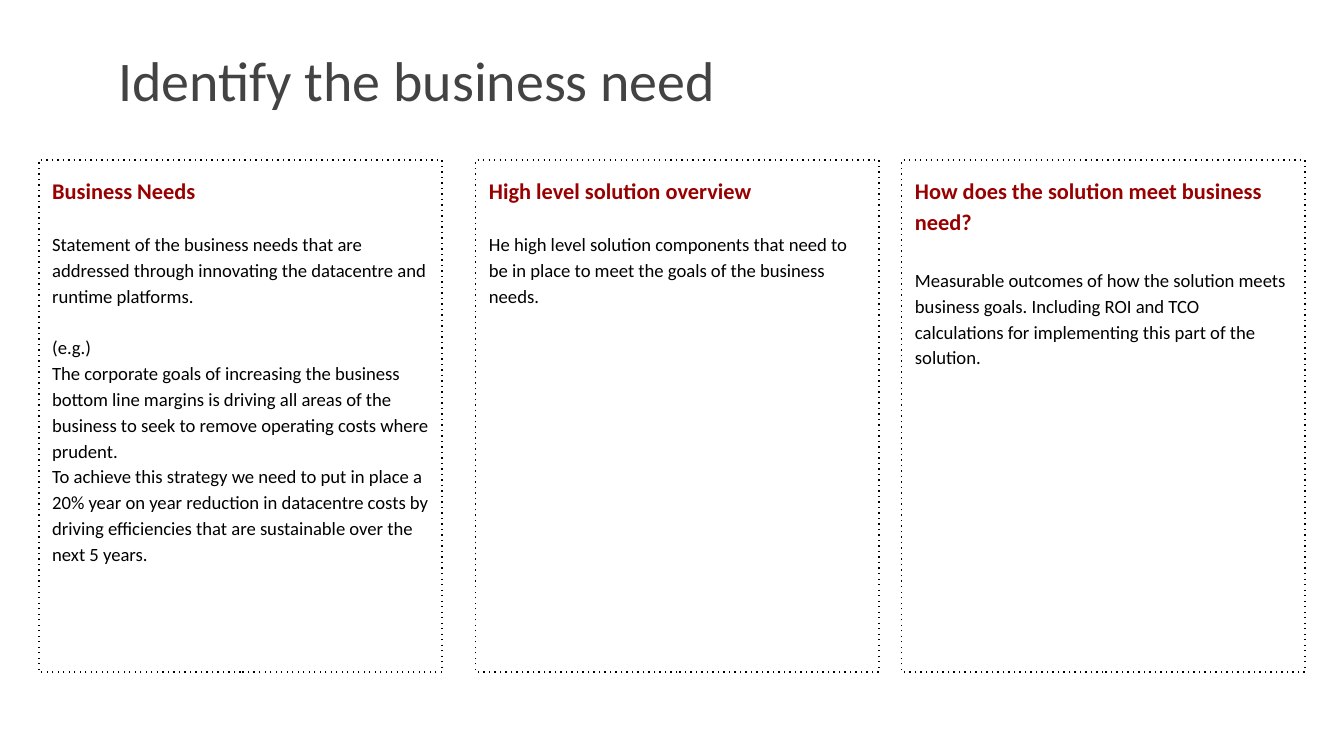
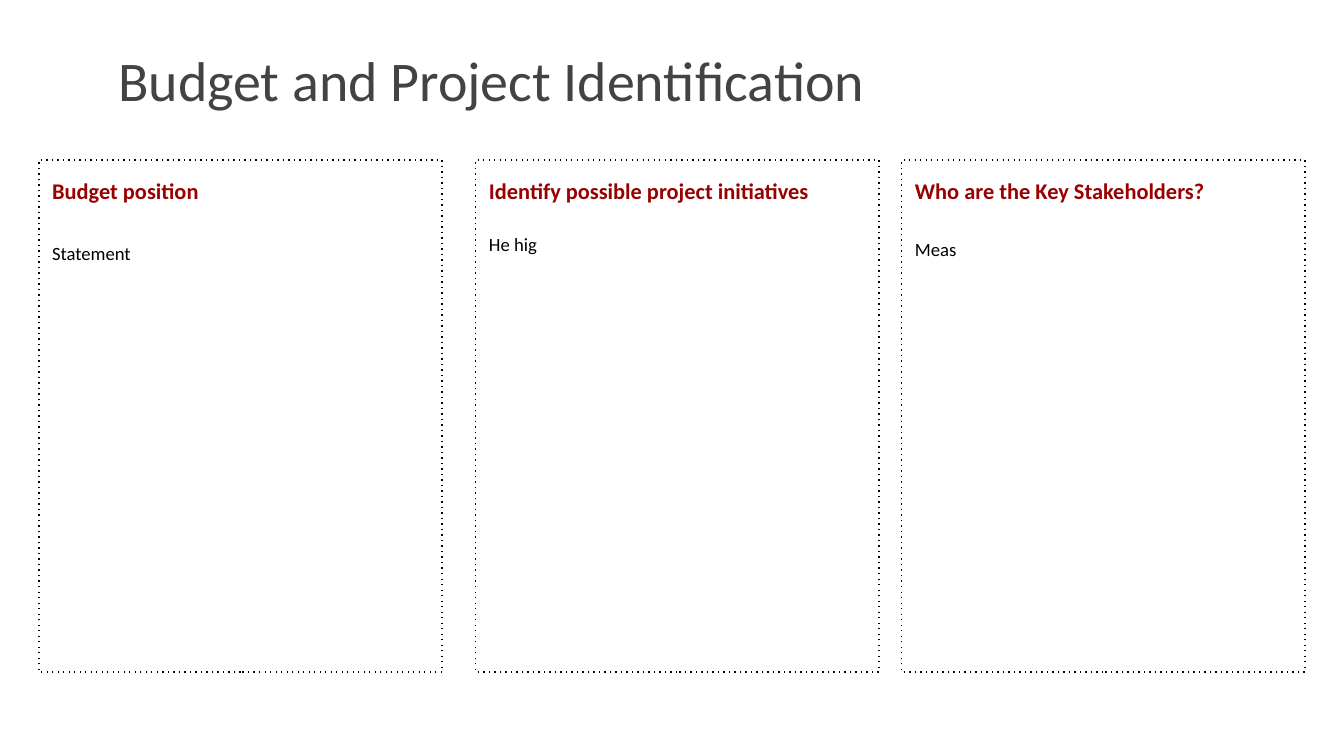
from pptx import Presentation
from pptx.dml.color import RGBColor
from pptx.enum.shapes import MSO_SHAPE
from pptx.enum.text import MSO_ANCHOR, MSO_AUTO_SIZE, PP_ALIGN
from pptx.oxml.ns import qn
from pptx.util import Inches, Pt
from lxml.etree import SubElement

SLIDES = [
    ("Identify the business need", [
        ("Business Needs", [
            ("Statement of the business needs that are addressed through innovating "
             "the datacentre and runtime platforms.", 13.5),
            ("(e.g.)", 14),
            ("The corporate goals of increasing the business bottom line margins is "
             "driving all areas of the business to seek to remove operating costs "
             "where prudent.", 0),
            ("To achieve this strategy we need to put in place a 20% year on year "
             "reduction in datacentre costs by driving efficiencies that are "
             "sustainable over the next 5 years.", 0),
        ]),
        ("High level solution overview", [
            ("He high level solution components that need to be in place to meet "
             "the goals of the business needs.", 13.5),
        ]),
        ("How does the solution meet business need?", [
            ("Measurable outcomes of how the solution meets business goals. Including "
             "ROI and TCO calculations for implementing this part of the solution.", 16.3),
        ]),
    ]),
    ("Budget and Project Identification", [
        ("Budget position", [("Statement", 18.3)]),
        ("Identify possible project initiatives", [("He hig", 13.5)]),
        ("Who are the Key Stakeholders?", [("Meas", 16.3)]),
    ]),
]

COLORS = {"title": "434343", "heading": "990000", "body": "000000", "border": "000000"}
FONT = "Calibri"
SLIDE_WIDTH = Inches(10)
SLIDE_HEIGHT = SLIDE_WIDTH * 9 // 16
TITLE_BOX = (0.78, 0.31, 8.49, 0.63)
COLUMN_LEFTS = (0.29, 3.54, 6.71)
COLUMN_TOP, COLUMN_WIDTH, COLUMN_HEIGHT = 1.19, 3, 3.81
INSET = 0.1


def prepare_frame(frame, anchor):
    frame.word_wrap = True
    frame.auto_size = MSO_AUTO_SIZE.NONE
    frame.vertical_anchor = anchor
    frame.margin_left = frame.margin_right = Inches(INSET)
    frame.margin_top = frame.margin_bottom = Inches(INSET)


def write(paragraph, text, *, size, color, bold=False, spacing=1.0, before=0):
    paragraph.alignment = PP_ALIGN.LEFT
    paragraph.line_spacing = spacing
    if before:
        paragraph.space_before = Pt(before)
    run = paragraph.add_run()
    run.text = text
    run.font.name, run.font.size, run.font.bold = FONT, Pt(size), bold
    run.font.color.rgb = RGBColor.from_string(COLORS[color])


def add_title(slide, text):
    title = slide.shapes.title
    title.left, title.top, title.width, title.height = map(Inches, TITLE_BOX)
    prepare_frame(title.text_frame, MSO_ANCHOR.BOTTOM)
    write(title.text_frame.paragraphs[0], text, size=30, color="title")


def draw_dotted_border(column):
    column.line.color.rgb = RGBColor.from_string(COLORS["border"])
    column.line.width = Pt(0.75)
    outline = column.element.spPr.find(qn("a:ln"))
    SubElement(outline, qn("a:prstDash")).set("val", "dot")


def add_column(slide, left, heading, statements):
    column = slide.shapes.add_shape(
        MSO_SHAPE.RECTANGLE,
        *map(Inches, (left, COLUMN_TOP, COLUMN_WIDTH, COLUMN_HEIGHT)))
    column.shadow.inherit = False
    column.fill.background()
    draw_dotted_border(column)
    frame = column.text_frame
    prepare_frame(frame, MSO_ANCHOR.TOP)
    write(frame.paragraphs[0], heading, size=12, color="heading", bold=True, spacing=1.15)
    for statement, gap in statements:
        write(frame.add_paragraph(), statement,
              size=10, color="body", spacing=1.15, before=gap)


def main():
    deck = Presentation()
    deck.slide_width, deck.slide_height = SLIDE_WIDTH, SLIDE_HEIGHT
    title_only = deck.slide_layouts.get_by_name("Title Only")
    for title, columns in SLIDES:
        slide = deck.slides.add_slide(title_only)
        add_title(slide, title)
        for left, (heading, statements) in zip(COLUMN_LEFTS, columns):
            add_column(slide, left, heading, statements)
    deck.save("out.pptx")


if __name__ == "__main__":
    main()
